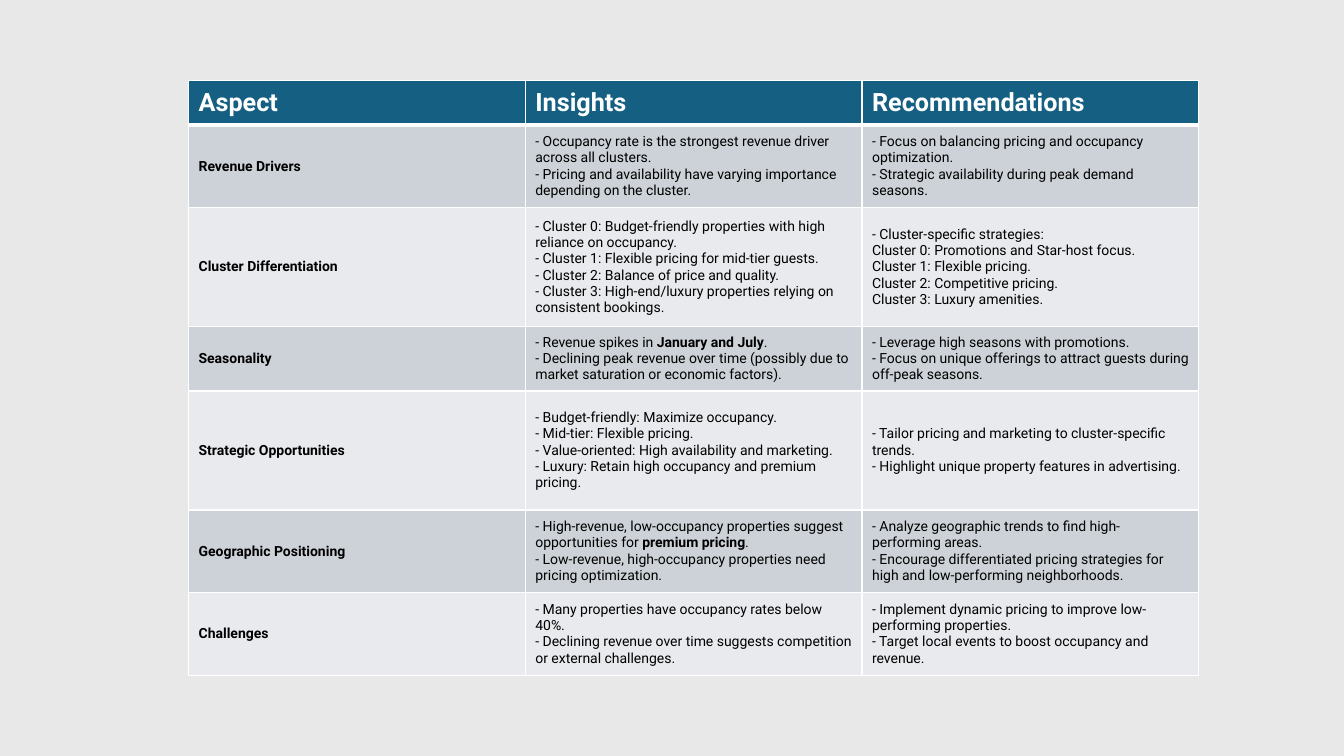
from copy import deepcopy
from dataclasses import dataclass

from lxml.etree import SubElement
from pptx import Presentation
from pptx.dml.color import RGBColor
from pptx.enum.text import MSO_ANCHOR
from pptx.oxml.ns import qn
from pptx.util import Inches, Pt


@dataclass(frozen=True)
class Theme:
    font: str = "Roboto"
    background: str = "E8E8E8"
    header_fill: str = "156082"
    header_text: str = "FFFFFF"
    body_text: str = "000000"
    band_fills: tuple = ("CCD2D8", "E8EAED")
    border: str = "FFFFFF"
    border_width: float = 1
    header_rule: float = 3
    header_size: int = 18
    body_size: int = 10


HEADERS = ["Aspect", "Insights", "Recommendations"]

# Each row: height, aspect, insights, recommendations; ** marks bold text
FINDINGS = [
    (0.82, "Revenue Drivers",
     "- Occupancy rate is the strongest revenue driver across all clusters.\n"
     "- Pricing and availability have varying importance depending on the cluster.",
     "- Focus on balancing pricing and occupancy optimization.\n"
     "- Strategic availability during peak demand seasons."),
    (1.18, "Cluster Differentiation",
     "- Cluster 0: Budget-friendly properties with high reliance on occupancy.\n"
     "- Cluster 1: Flexible pricing for mid-tier guests.\n"
     "- Cluster 2: Balance of price and quality.\n"
     "- Cluster 3: High-end/luxury properties relying on consistent bookings.",
     "- Cluster-specific strategies:\n"
     "Cluster 0: Promotions and Star-host focus.\n"
     "Cluster 1: Flexible pricing.\n"
     "Cluster 2: Competitive pricing.\n"
     "Cluster 3: Luxury amenities."),
    (0.64, "Seasonality",
     "- Revenue spikes in **January and July**.\n"
     "- Declining peak revenue over time (possibly due to market saturation "
     "or economic factors).",
     "- Leverage high seasons with promotions.\n"
     "- Focus on unique offerings to attract guests during off-peak seasons."),
    (1.18, "Strategic Opportunities",
     "- Budget-friendly: Maximize occupancy.\n"
     "- Mid-tier: Flexible pricing.\n"
     "- Value-oriented: High availability and marketing.\n"
     "- Luxury: Retain high occupancy and premium pricing.",
     "- Tailor pricing and marketing to cluster-specific trends.\n"
     "- Highlight unique property features in advertising."),
    (0.82, "Geographic Positioning",
     "- High-revenue, low-occupancy properties suggest opportunities for "
     "**premium pricing**.\n"
     "- Low-revenue, high-occupancy properties need pricing optimization.",
     "- Analyze geographic trends to find high-performing areas.\n"
     "- Encourage differentiated pricing strategies for high and "
     "low-performing neighborhoods."),
    (0.82, "Challenges",
     "- Many properties have occupancy rates below 40%.\n"
     "- Declining revenue over time suggests competition or external challenges.",
     "- Implement dynamic pricing to improve low-performing properties.\n"
     "- Target local events to boost occupancy and revenue."),
]


class SlideBuilder:
    def __init__(self, page, theme):
        self.page = page
        self.theme = theme

    def background(self):
        fill = self.page.background.fill
        fill.solid()
        fill.fore_color.rgb = RGBColor.from_string(self.theme.background)

    def table(self, left, top, column_width, row_heights, columns):
        width, height = column_width * columns, sum(row_heights)
        frame = self.page.shapes.add_table(
            len(row_heights), columns, Inches(left), Inches(top),
            Inches(width), Inches(height))
        table = frame.table
        table.horz_banding = False
        for column in table.columns:
            column.width = Inches(column_width)
        for row, row_height in zip(table.rows, row_heights):
            row.height = Inches(row_height)
        return table

    def cell(self, cell, text, fill, color, size, bold, top_rule, bottom_rule):
        cell.vertical_anchor = MSO_ANCHOR.MIDDLE
        self.borders(cell, top_rule, bottom_rule)
        cell.fill.solid()
        cell.fill.fore_color.rgb = RGBColor.from_string(fill)
        para = cell.text_frame.paragraphs[0]
        for index, part in enumerate(text.split("**")):
            self.spans(para, part, color, size, bold or index % 2 == 1)

    def spans(self, para, text, color, size, bold):
        for index, line in enumerate(text.split("\n")):
            if index:
                para.add_line_break()
                line_break = para._p[-1]
            span = para.add_run()
            span.text = line
            span.font.name = self.theme.font
            span.font.size = Pt(size)
            span.font.bold = bold
            span.font.color.rgb = RGBColor.from_string(color)
            if index:
                # Give the line break the same type size as its text
                line_break.append(deepcopy(span._r.find(qn("a:rPr"))))

    def borders(self, cell, top_rule, bottom_rule):
        properties = cell._tc.get_or_add_tcPr()
        side = self.theme.border_width
        widths = {"a:lnL": side, "a:lnR": side,
                  "a:lnT": top_rule, "a:lnB": bottom_rule}
        for tag, width in widths.items():
            line = SubElement(properties, qn(tag), w=str(Pt(width)))
            fill = SubElement(line, qn("a:solidFill"))
            SubElement(fill, qn("a:srgbClr"), val=self.theme.border)


def main():
    deck = Presentation()
    deck.slide_width, deck.slide_height = Inches(13.33), Inches(7.5)
    theme = Theme()
    builder = SlideBuilder(deck.slides.add_slide(deck.slide_layouts[6]), theme)
    builder.background()

    # Table grid
    heights = [0.44] + [finding[0] for finding in FINDINGS]
    table = builder.table(1.87, 0.8, 3.34, heights, len(HEADERS))

    # Header row
    for column, heading in enumerate(HEADERS):
        builder.cell(table.cell(0, column), heading, theme.header_fill,
                     theme.header_text, theme.header_size, True,
                     theme.border_width, theme.header_rule)

    # Banded body rows, aspects in bold
    for row, (_, *texts) in enumerate(FINDINGS, start=1):
        fill = theme.band_fills[(row - 1) % 2]
        top_rule = theme.header_rule if row == 1 else theme.border_width
        for column, text in enumerate(texts):
            builder.cell(table.cell(row, column), text, fill, theme.body_text,
                         theme.body_size, column == 0,
                         top_rule, theme.border_width)

    deck.save("out.pptx")


if __name__ == "__main__":
    main()
